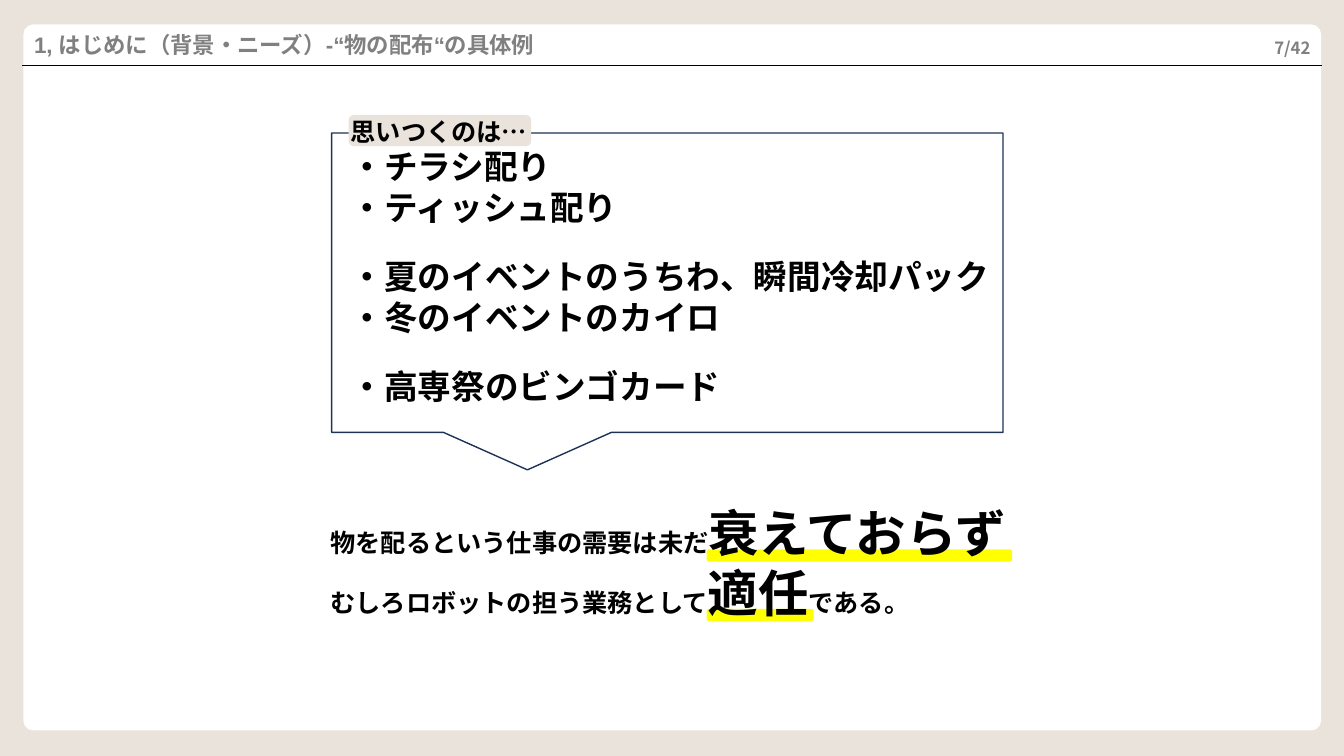
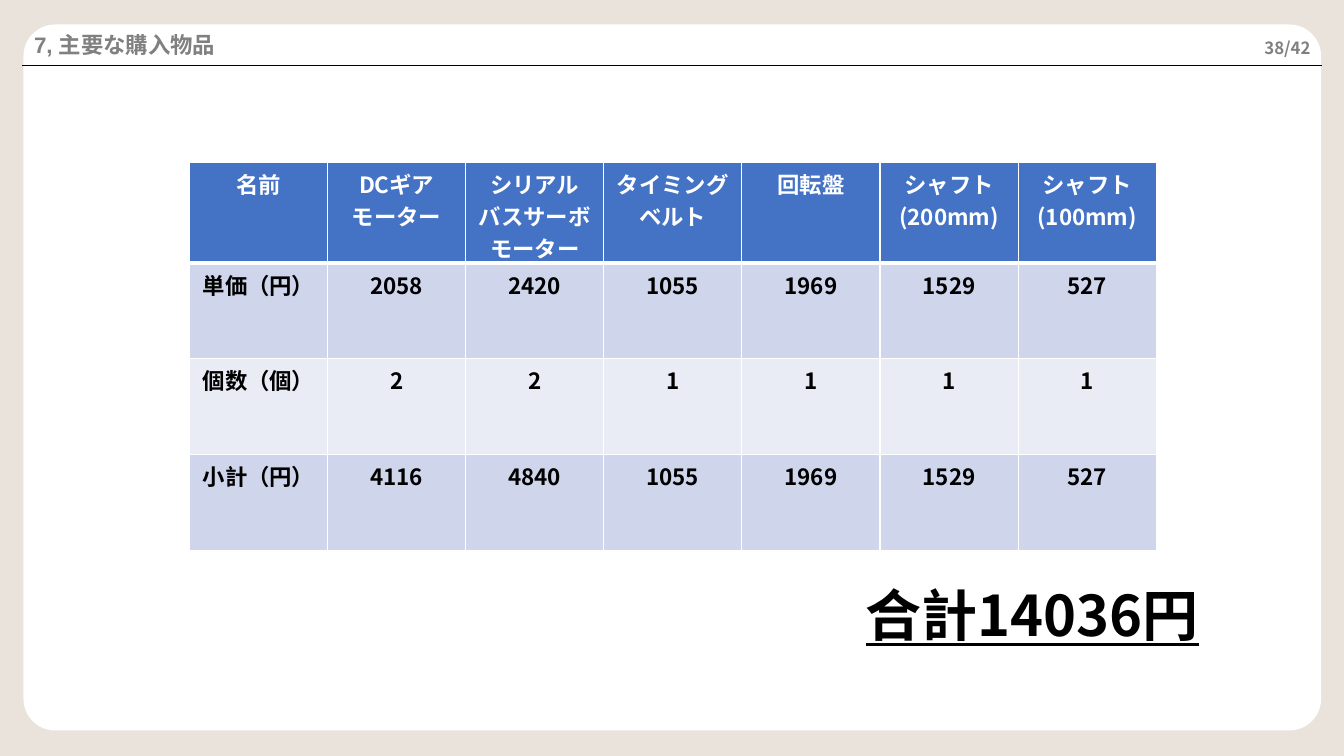
from dataclasses import dataclass

from lxml.etree import SubElement
from pptx import Presentation
from pptx.dml.color import RGBColor
from pptx.enum.shapes import MSO_CONNECTOR, MSO_SHAPE
from pptx.enum.text import MSO_ANCHOR, PP_ALIGN
from pptx.oxml import parse_xml
from pptx.oxml.ns import nsdecls, qn
from pptx.util import Inches, Pt

WIDTH, HEIGHT = Inches(13.33), Inches(7.5)
COLORS = {
    "sand": "E9E3DB", "white": "FFFFFF", "black": "000000", "gray": "808080",
    "navy": "1E3256", "yellow": "FFFF00",
    "head": "4472C4", "odd": "CFD5EA", "even": "E9EBF5",
}
ARIAL, NOTO = "Arial", "Noto Sans CJK JP"
PAGE_COUNT = 42


@dataclass
class Box:
    """A region in percent of the slide's width and height."""
    left: float
    top: float
    width: float
    height: float

    def inner(self, right, down, width, height):
        return Box(self.left + right, self.top + down, width, height)

    def emu(self):
        return (int(WIDTH * self.left / 100), int(HEIGHT * self.top / 100),
                int(WIDTH * self.width / 100), int(HEIGHT * self.height / 100))


PANEL = Box(1.8, 3.33, 96.45, 93.2)
HEADER = Box(1.8, 3.2, 96.45, 5.47)


def rgb(name):
    return RGBColor.from_string(COLORS[name])


def style_para(para, size, face=NOTO, color="black", align=PP_ALIGN.LEFT):
    para.alignment = align
    font = para.font
    font.size, font.bold, font.name = Pt(size), True, face
    font.color.rgb = rgb(color)
    # East Asian letters take the same face
    props = para._p.pPr.find(qn("a:defRPr"))
    SubElement(props, qn("a:ea")).set("typeface", face)


def add_text(page, box, anchor=MSO_ANCHOR.TOP):
    frame = page.shapes.add_textbox(*box.emu()).text_frame
    frame.word_wrap = True
    frame.vertical_anchor = anchor
    return frame


def add_line_of_text(page, box, text, size, anchor=MSO_ANCHOR.TOP, **style):
    para = add_text(page, box, anchor).paragraphs[0]
    para.text = text
    style_para(para, size, **style)
    return para


def add_block(page, kind, box, fill=None, line=None):
    shape = page.shapes.add_shape(kind, *box.emu())
    shape.shadow.inherit = False
    if fill:
        shape.fill.solid()
        shape.fill.fore_color.rgb = rgb(fill)
    else:
        shape.fill.background()
    if line:
        shape.line.color.rgb = rgb(line)
        shape.line.width = Pt(1)
    else:
        shape.line.fill.background()
    return shape


def add_header(page, box, title, number):
    add_line_of_text(page, box.inner(0, 0, 45, 5.33), title, 16,
                     MSO_ANCHOR.MIDDLE, face=ARIAL, color="gray")
    add_line_of_text(page, box.inner(box.width - 8, 0.4, 8, 5.33),
                     f"{number}/{PAGE_COUNT}", 12, MSO_ANCHOR.MIDDLE,
                     color="gray", align=PP_ALIGN.RIGHT)
    left, top, width, height = box.inner(-0.15, 0, box.width + 0.25, box.height).emu()
    rule = page.shapes.add_connector(
        MSO_CONNECTOR.STRAIGHT, left, top + height, left + width, top + height)
    rule.line.color.rgb = rgb("black")
    rule.line.width = Pt(1)
    SubElement(rule._element.spPr, qn("a:effectLst"))


def add_page(deck, title, number, rounding):
    page = deck.slides.add_slide(deck.slide_layouts[6])
    page.background.fill.solid()
    page.background.fill.fore_color.rgb = rgb("sand")
    panel = add_block(page, MSO_SHAPE.ROUNDED_RECTANGLE, PANEL, "white", "white")
    panel.adjustments[0] = rounding
    add_header(page, HEADER, title, number)
    return page


def add_callout(page, box, label, groups):
    add_block(page, MSO_SHAPE.RECTANGULAR_CALLOUT, box, line="navy")
    add_block(page, MSO_SHAPE.ROUNDED_RECTANGLE,
              box.inner(1.27, -2.4, 13.58, 4.13), "sand")
    frame = add_text(page, box.inner(0.67, -2.93, box.width - 0.67, 40.4))
    frame.paragraphs[0].text = label
    style_para(frame.paragraphs[0], 18)
    for group_index, group in enumerate(groups):
        for item_index, item in enumerate(group):
            para = frame.add_paragraph()
            para.text = item
            if group_index and not item_index:
                para.space_before = Pt(21)
            style_para(para, 24, ARIAL)


def add_conclusion(page, box, lines):
    # Yellow markers under the large words
    for down, width in ((14.8, 7.95), (6.94, 22.73)):
        add_block(page, MSO_SHAPE.ROUNDED_RECTANGLE,
                  box.inner(28.73, down, width, 1.6), "yellow")
    frame = add_text(page, box)
    for index, spans in enumerate(lines):
        para = frame.add_paragraph() if index else frame.paragraphs[0]
        style_para(para, 18, ARIAL)
        for text, size in spans:
            span = para.add_run()
            span.text = text
            span.font.size = Pt(size)


def set_borders(cell, bottom):
    props = cell._tc.get_or_add_tcPr()
    for index, (side, width) in enumerate((("L", 1), ("R", 1), ("T", 1), ("B", bottom))):
        props.insert(index, parse_xml(
            f'<a:ln{side} {nsdecls("a")} w="{int(Pt(width))}"><a:solidFill>'
            f'<a:srgbClr val="{COLORS["white"]}"/></a:solidFill></a:ln{side}>'))


def add_price_table(page, box, rows):
    table = page.shapes.add_table(len(rows), len(rows[0]), *box.emu()).table
    for row_index, values in enumerate(rows):
        is_head = row_index == 0
        fill = "head" if is_head else ("even", "odd")[row_index % 2]
        table.rows[row_index].height = Inches(1 if is_head else 0.95)
        for cell, value in zip(table.rows[row_index].cells, values):
            cell.text = str(value)
            for para in cell.text_frame.paragraphs:
                style_para(para, 16, color="white" if is_head else "black",
                           align=PP_ALIGN.CENTER)
            cell.fill.solid()
            cell.fill.fore_color.rgb = rgb(fill)
            set_borders(cell, 3 if is_head else 1)


def build_examples(deck):
    page = add_page(deck, "1, はじめに（背景・ニーズ）-“物の配布“の具体例", 7, 0.013)
    add_callout(page, Box(24.68, 17.6, 49.95, 39.6), "思いつくのは…", [
        ["・チラシ配り", "・ティッシュ配り"],
        ["・夏のイベントのうちわ、瞬間冷却パック", "・冬のイベントのカイロ"],
        ["・高専祭のビンゴカード"],
    ])
    add_conclusion(page, Box(23.85, 65.73, 52.5, 17.47), [
        [("物を配るという仕事の需要は未だ", 18), ("衰えておらず", 36)],
        [("むしろロボットの担う業務として", 18), ("適任", 36), ("である。", 18)],
    ])


def build_purchases(deck):
    page = add_page(deck, "7, 主要な購入物品", 38, 0.044)
    names = ["DCギアモーター", "シリアル\nバスサーボモーター", "タイミング\nベルト",
             "回転盤", "シャフト\n(200mm)", "シャフト\n(100mm)"]
    prices = [2058, 2420, 1055, 1969, 1529, 527]
    counts = [2, 2, 1, 1, 1, 1]
    subtotals = [price * count for price, count in zip(prices, counts)]
    add_price_table(page, Box(14.1, 21.47, 71.93, 51.33), [
        ["名前", *names], ["単価（円）", *prices],
        ["個数（個）", *counts], ["小計（円）", *subtotals],
    ])
    total = add_line_of_text(page, Box(63.68, 76.13, 30.9, 10.27),
                             f"合計{sum(subtotals)}円", 40)
    total.font.underline = True


def main():
    deck = Presentation()
    deck.slide_width, deck.slide_height = WIDTH, HEIGHT
    build_examples(deck)
    build_purchases(deck)
    deck.save("out.pptx")


if __name__ == "__main__":
    main()
